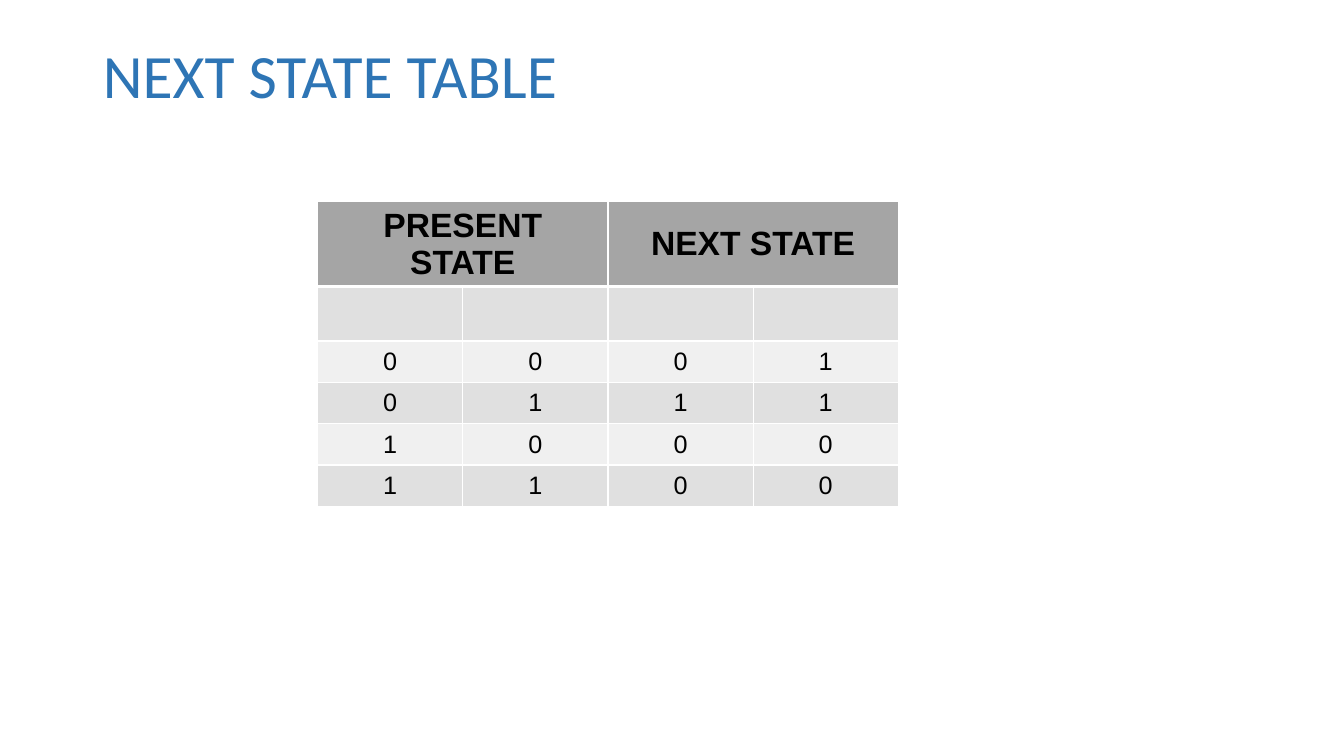
from lxml import etree
from pptx import Presentation
from pptx.dml.color import RGBColor
from pptx.enum.text import MSO_ANCHOR, MSO_AUTO_SIZE, PP_ALIGN
from pptx.oxml.ns import qn
from pptx.util import Inches, Pt

TOP, MIDDLE = MSO_ANCHOR.TOP, MSO_ANCHOR.MIDDLE
LEFT, CENTER = PP_ALIGN.LEFT, PP_ALIGN.CENTER
NO_AUTOFIT = MSO_AUTO_SIZE.NONE
TITLE_ONLY = 5

BLUE = RGBColor(0x2E, 0x75, 0xB5)
BLACK = RGBColor(0x00, 0x00, 0x00)
WHITE = RGBColor(0xFF, 0xFF, 0xFF)
HEADER_GRAY = RGBColor(0xA5, 0xA5, 0xA5)
BANDS = [RGBColor(0xF0, 0xF0, 0xF0), RGBColor(0xE0, 0xE0, 0xE0)]

COLUMN_WIDTH = 1.44
ROW_HEIGHTS = [0.5, 0.54] + [0.41] * 4
STATES = [
    ["PRESENT STATE", "", "NEXT STATE", ""],
    ["", "", "", ""],
    ["0", "0", "0", "1"],
    ["0", "1", "1", "1"],
    ["1", "0", "0", "0"],
    ["1", "1", "0", "0"],
]


def set_borders(cell, bottom_width):
    """Draw white cell borders; they must come before the fill in the XML."""
    properties = cell._tc.get_or_add_tcPr()
    widths = {"a:lnL": 1, "a:lnR": 1, "a:lnT": 1, "a:lnB": bottom_width}
    for position, (tag, width) in enumerate(widths.items()):
        line = etree.Element(qn(tag), w=str(Pt(width)))
        fill = etree.SubElement(line, qn("a:solidFill"))
        etree.SubElement(fill, qn("a:srgbClr"), val=str(WHITE))
        properties.insert(position, line)


deck = Presentation()
deck.slide_width, deck.slide_height = Inches(13.33), Inches(7.5)
page = deck.slides.add_slide(deck.slide_layouts[TITLE_ONLY])

# Title
title = page.shapes.title
title.left, title.top = Inches(0.92), Inches(0.4)
title.width, title.height = Inches(11.5), Inches(1.45)
frame = title.text_frame
frame.text = "NEXT STATE TABLE"
frame.auto_size = NO_AUTOFIT
frame.vertical_anchor = TOP
para = frame.paragraphs[0]
para.alignment = LEFT
para.line_spacing = 0.9
para.font.name, para.font.size = "Calibri", Pt(44)
para.font.color.rgb = BLUE

# State table grid
columns = len(STATES[0])
table = page.shapes.add_table(
    len(STATES), columns, Inches(3.15), Inches(2),
    Inches(COLUMN_WIDTH * columns), Inches(sum(ROW_HEIGHTS))).table
for column in table.columns:
    column.width = Inches(COLUMN_WIDTH)
for row, height in zip(table.rows, ROW_HEIGHTS):
    row.height = Inches(height)
for first in (0, 2):
    table.cell(0, first).merge(table.cell(0, first + 1))

# State table cells
for row_index, values in enumerate(STATES):
    is_header = row_index == 0
    for column_index, value in enumerate(values):
        cell = table.cell(row_index, column_index)
        cell.fill.solid()
        cell.fill.fore_color.rgb = HEADER_GRAY if is_header else BANDS[row_index % 2]
        set_borders(cell, 3 if is_header else 1)
        cell.vertical_anchor = MIDDLE
        cell.text = value
        para = cell.text_frame.paragraphs[0]
        para.alignment = CENTER
        para.font.name = "Arial"
        para.font.size = Pt(24 if is_header else 18)
        para.font.bold = is_header
        para.font.color.rgb = BLACK

deck.save("out.pptx")
